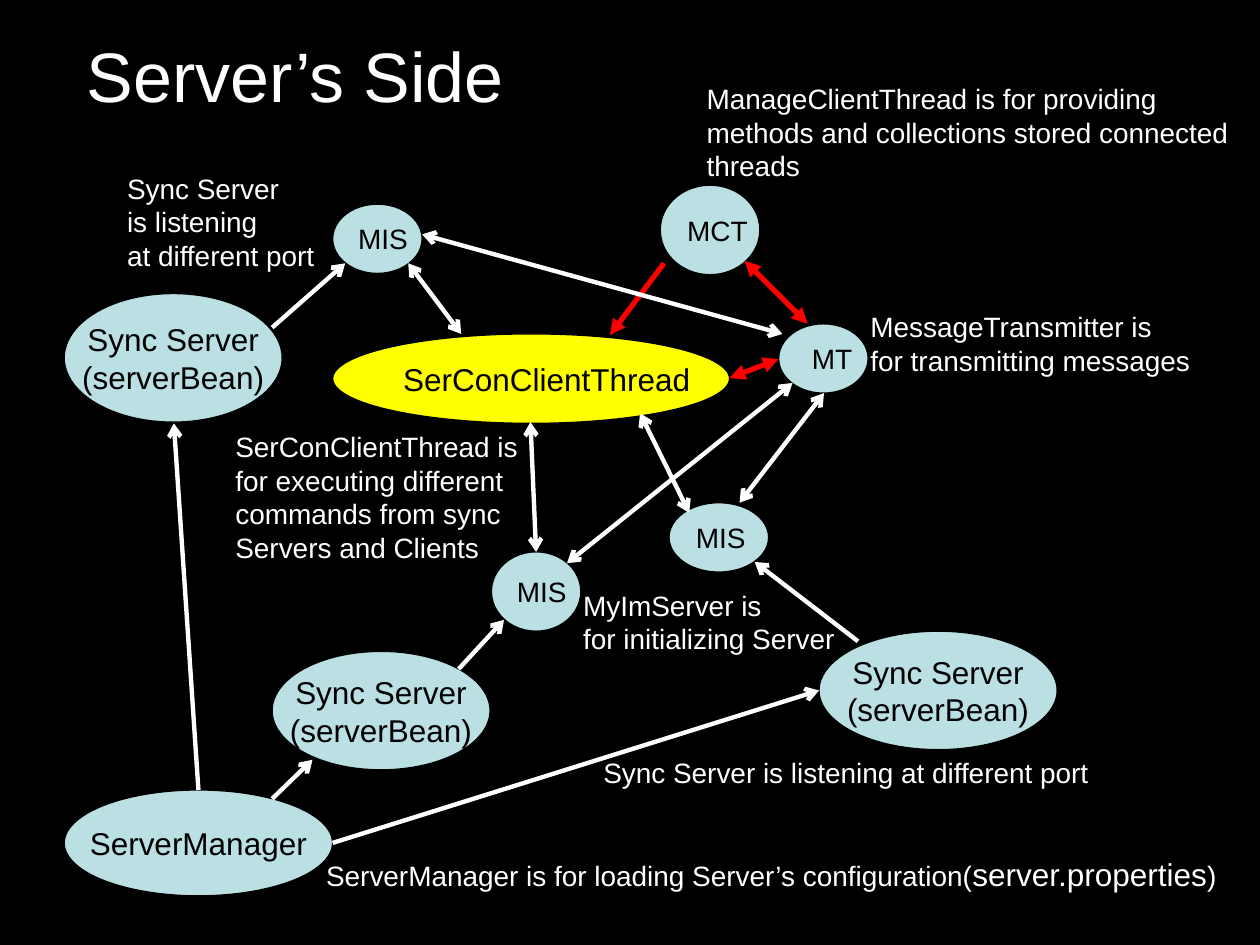
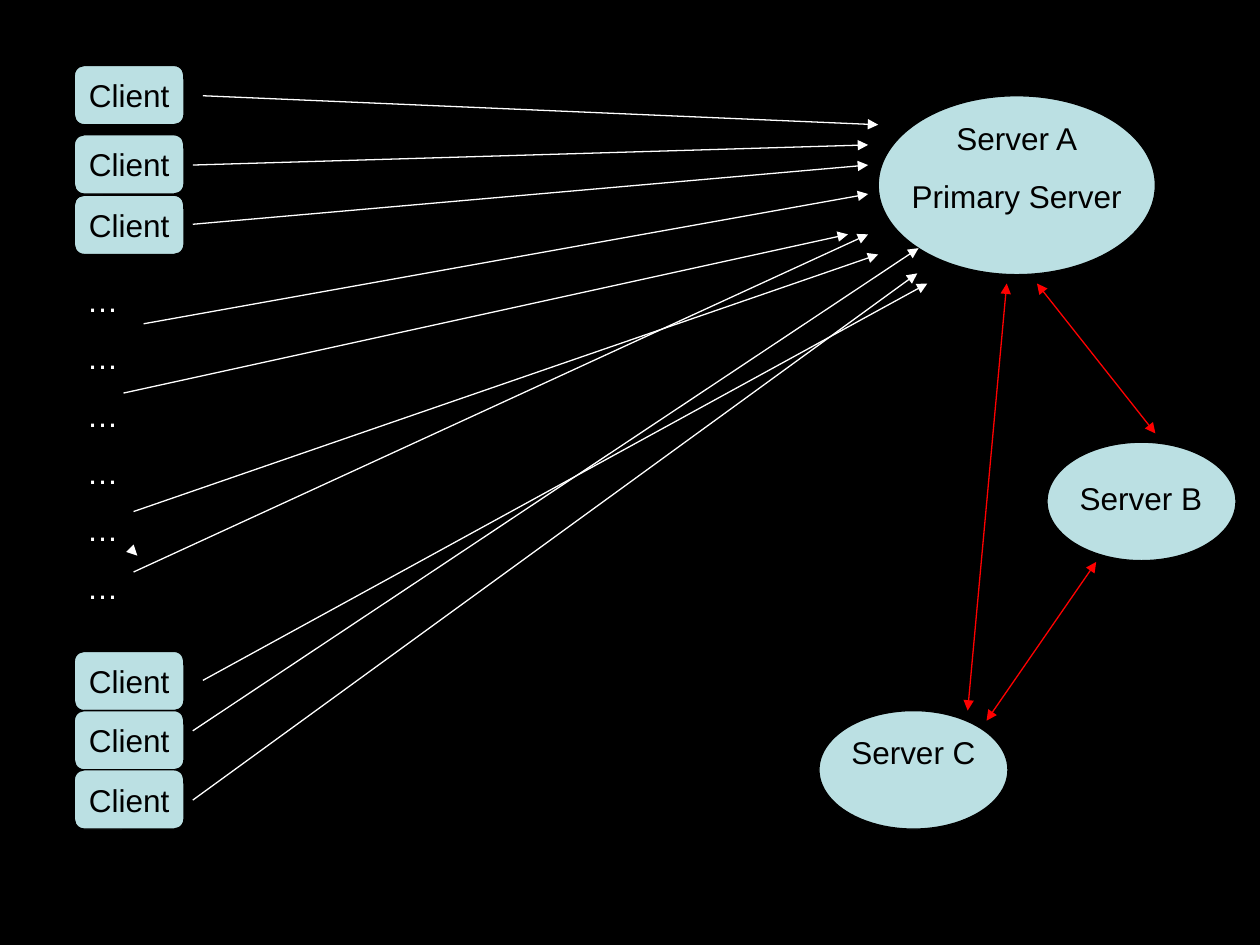
from lxml import etree
from pptx import Presentation
from pptx.dml.color import RGBColor
from pptx.enum.shapes import MSO_CONNECTOR, MSO_SHAPE
from pptx.enum.text import MSO_ANCHOR, PP_ALIGN
from pptx.oxml.ns import qn
from pptx.util import Inches, Pt

OVAL, ROUND = MSO_SHAPE.OVAL, MSO_SHAPE.ROUNDED_RECTANGLE
LINE = MSO_CONNECTOR.STRAIGHT
LEFT, MID = PP_ALIGN.LEFT, PP_ALIGN.CENTER
TOP, CENTRE = MSO_ANCHOR.TOP, MSO_ANCHOR.MIDDLE

BLACK = RGBColor(0x00, 0x00, 0x00)
WHITE = RGBColor(0xFF, 0xFF, 0xFF)
RED = RGBColor(0xFF, 0x00, 0x00)
PALE = RGBColor(0xBB, 0xE0, 0xE3)
YELLOW = RGBColor(0xFF, 0xFF, 0x00)
FONT = "Arial"

deck = Presentation()
deck.slide_width, deck.slide_height = Inches(10), Inches(7.5)

# Grid: 100 columns by 75 rows of square cells
CELL = deck.slide_width / 100


def put(slide, box, lines, size=16, ink=BLACK, kind=None, fill=PALE,
        align=LEFT, wrap=False, gap=0):
    """Place lines of text in a filled shape, or in a bare box without a kind."""
    place = [round(n * CELL) for n in box]
    if kind is None:
        item = slide.shapes.add_textbox(*place)
    else:
        item = slide.shapes.add_shape(kind, *place)
        item.shadow.inherit = False
        item.fill.solid()
        item.fill.fore_color.rgb = fill
        item.line.color.rgb = BLACK
        item.line.width = Pt(0.75)
    frame = item.text_frame
    frame.word_wrap = wrap
    frame.vertical_anchor = CENTRE if kind else TOP
    for i, line in enumerate(lines):
        para = frame.add_paragraph() if i else frame.paragraphs[0]
        para.alignment = align
        para.space_before = Pt(gap)
        # A line is plain text or a list of (text, size) runs
        for text, points in [(line, size)] if isinstance(line, str) else line:
            run = para.add_run()
            run.text = text
            run.font.name = FONT
            run.font.size = Pt(points)
            run.font.color.rgb = ink
    return item


def link(slide, ends, ink=WHITE, width=0.75, tip="triangle", both=False):
    """Draw an arrow to the last point, or one with a tip at both ends."""
    item = slide.shapes.add_connector(LINE, *[round(n * CELL) for n in ends])
    item.line.color.rgb = ink
    item.line.width = Pt(width)
    props = item.line._get_or_add_ln()
    for tag in ("a:headEnd", "a:tailEnd") if both else ("a:tailEnd",):
        etree.SubElement(props, qn(tag)).set("type", tip)
    etree.SubElement(item._element.spPr, qn("a:effectLst"))
    return item


# Both slides: blank on black
pages = []
for _ in range(2):
    page = deck.slides.add_slide(deck.slide_layouts[6])
    page.background.fill.solid()
    page.background.fill.fore_color.rgb = BLACK
    pages.append(page)
side, net = pages

# ---- Slide 1: the server's side ----
put(side, (5.9, 2.1, 37, 7.7), ["Server’s Side"], 40, WHITE)

# Sync servers and their manager
for box in ((5.1, 23.3, 17.3, 10.2), (21.6, 51.7, 17.3, 9.4),
            (65, 50.1, 18.9, 9.4)):
    put(side, box, ["Sync Server", "(serverBean)"], 18, kind=OVAL, align=MID)
boss = put(side, (5.1, 62.7, 21.3, 8.4), ["ServerManager"], 18,
           kind=OVAL, align=MID)

# Threads and message nodes
put(side, (26.4, 26.5, 31.5, 7.1), ["SerConClientThread"], 18,
    kind=OVAL, fill=YELLOW)
put(side, (52.4, 14.7, 7.9, 7.1), ["MCT"], kind=OVAL)
put(side, (61.8, 25.7, 7.1, 5.5), [" MT"], kind=OVAL)
put(side, (26.4, 16.2, 7.1, 5.5), ["MIS"], kind=OVAL)
put(side, (53.1, 39.9, 7.9, 5.5), ["MIS"], kind=OVAL)
hub = put(side, (39, 43.8, 7.1, 6.3), ["MIS"], kind=OVAL)

# Red links between the threads
link(side, (52.7, 20.9, 48.4, 26.6), RED, 3)
for ends in ((59.1, 20.7, 64.1, 25.7), (61.8, 28.5, 57.9, 30)):
    link(side, ends, RED, 3, both=True)

# White two-way links
for ends in ((32.4, 20.9, 36.6, 26.5), (50.8, 32.8, 54.7, 40.7),
             (65.4, 31.2, 58.7, 39.9), (62.1, 26.5, 33.5, 18.6),
             (62.9, 30.4, 45, 44.7)):
    link(side, ends, width=2.5, tip="arrow", both=True)
down = link(side, (42.1, 33.5, 42.5, 43.8), width=2.5, tip="arrow", both=True)
down.end_connect(hub, 0)

# White one-way links
for ends in ((21.6, 26, 27.4, 20.9), (68.1, 50.9, 59.9, 44.6),
             (36.4, 53.1, 40, 49.2), (21.6, 63.4, 24.8, 60.3),
             (26.4, 66.9, 65, 54.8)):
    link(side, ends, width=2.5, tip="arrow")
rise = link(side, (15.8, 62.7, 13.8, 33.6), width=2.5, tip="arrow")
rise.begin_connect(boss, 0)

# Notes
for box, lines, wrap in (
    ((17.7, 33.6, 27.6, 11.7),
     ["SerConClientThread is",
      "for executing different commands from sync Servers and Clients"], True),
    ((55.1, 6, 44.9, 9),
     ["ManageClientThread is for providing methods and collections "
      "stored connected threads"], True),
    ((68.1, 24.1, 27.5, 6.4),
     ["MessageTransmitter is", "for transmitting messages"], False),
    ((9.1, 13.1, 16.9, 9),
     ["Sync Server", "is listening", "at different port"], False),
    ((45.3, 46.2, 25.2, 6.4),
     ["MyImServer is", "for initializing Server"], False),
    ((46.9, 59.5, 40.5, 3.7),
     ["Sync Server is listening at different port"], False),
    ((24.9, 67.4, 72.7, 4),
     [[("ServerManager is for loading Server’s configuration(", 16),
       ("server.properties", 18), (")", 16)]], False),
):
    put(side, box, lines, ink=WHITE, wrap=wrap)

# ---- Slide 2: clients and servers ----
# Servers; a deep lower margin lifts the names of A and C
for box, lines in (((69.7, 7.6, 22, 14.2), ["Server A", "Primary Server"]),
                   ((65, 56.4, 15, 9.4), ["Server C"])):
    node = put(net, box, lines, 18, kind=OVAL, align=MID, gap=11.2)
    node.text_frame.margin_bottom = Inches(0.34)
put(net, (83.1, 35.1, 15, 9.4), [], kind=OVAL)
put(net, (84.7, 37.5, 11.8, 4), ["Server B"], 18, gap=11.2)

# Clients, with dots for those between
for top in (5.2, 10.7, 15.5, 51.7, 56.4, 61.1):
    put(net, (5.9, top, 8.7, 4.7), ["Client"], 18, kind=ROUND, align=MID)
put(net, (5.9, 21.8, 10.2, 26.8), ["…"] * 6, 18, WHITE, wrap=True, gap=11.2)

# Links between the servers
for ends in ((82.3, 22.5, 91.7, 34.4), (79.9, 22.5, 76.8, 56.4),
             (87, 44.6, 78.3, 57.2)):
    link(net, ends, RED, both=True)

# Links from the clients to server A, and one stray tip
for ends in ((16.1, 7.6, 69.7, 9.9), (15.3, 13.1, 68.9, 11.5),
             (15.3, 17.8, 68.9, 13.1), (11.4, 25.7, 68.9, 15.4),
             (9.8, 31.2, 67.3, 18.6), (10.6, 40.6, 69.7, 20.2),
             (10.6, 45.4, 68.9, 18.6), (16.1, 54, 73.6, 22.5),
             (15.3, 58, 72.9, 19.7), (15.3, 63.5, 72.8, 21.7),
             (10.8, 44, 10.9, 44.1)):
    link(net, ends)

deck.save("out.pptx")
